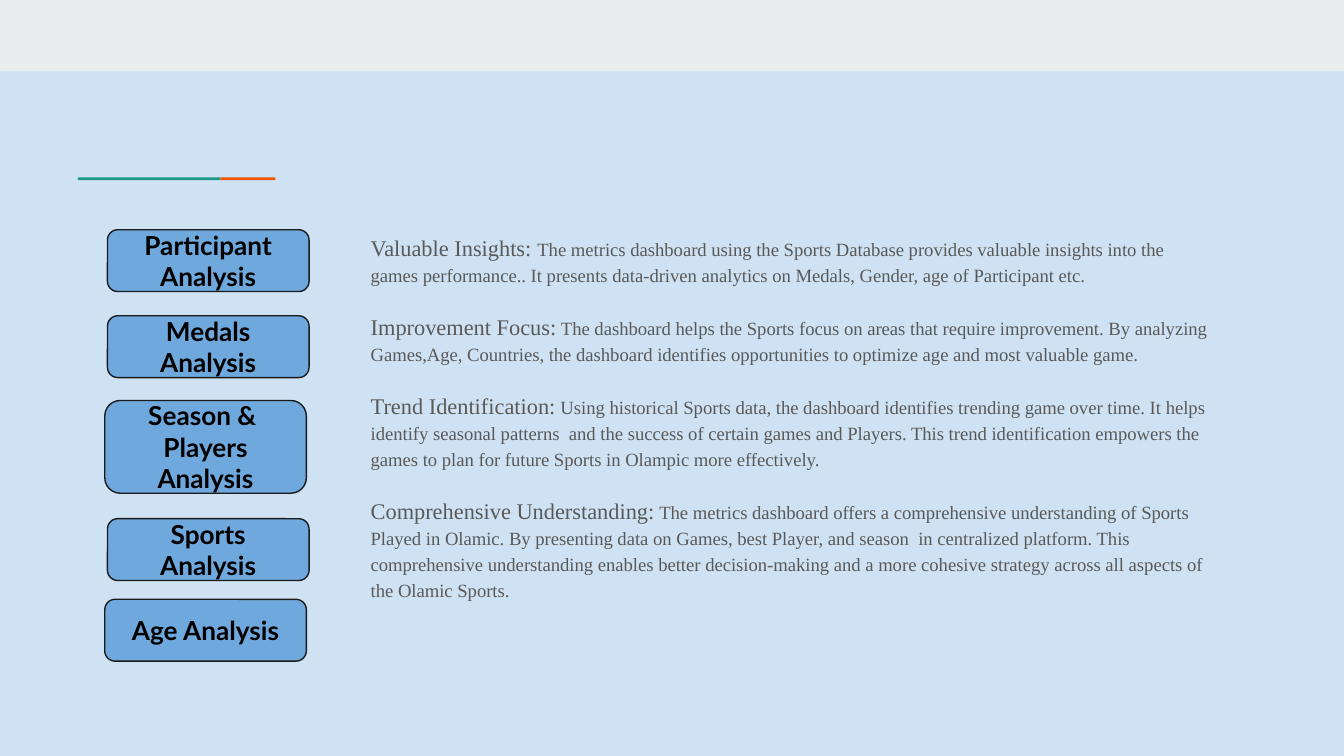
"""Build the slide of dashboard analyses and their key insights."""
from pptx import Presentation
from pptx.dml.color import RGBColor
from pptx.enum.shapes import MSO_SHAPE
from pptx.enum.text import MSO_ANCHOR, PP_ALIGN
from pptx.util import Inches, Pt

COLORS = {
    "background": "CFE2F3", "band": "E9EDEE", "teal": "1A9988", "orange": "EB5600",
    "button": "6FA8DC", "outline": "1A1A1A", "label": "000000", "body": "595959",
}
BARS = [
    ("band", 0, 0, 10, 0.53),
    ("teal", 0.58, 1.32, 1.06, 0.02),
    ("orange", 1.64, 1.32, 0.41, 0.02),
]
BUTTON_WIDTH = 1.5
BUTTONS = [
    ("Participant Analysis", 0.8, 1.71, 0.46),
    ("Medals Analysis", 0.8, 2.35, 0.46),
    ("Season &  Players Analysis", 0.78, 2.98, 0.69),
    ("Age Analysis", 0.78, 4.46, 0.46),
    ("Sports Analysis", 0.8, 3.86, 0.46),
]
INSIGHTS = [
    ("Valuable Insights: ",
     "The metrics dashboard using the Sports Database provides valuable insights into the "
     "games performance.. It presents data-driven analytics on Medals, Gender, age of "
     "Participant etc."),
    ("Improvement Focus:",
     " The dashboard helps the Sports focus on areas that require improvement. By analyzing "
     "Games,Age, Countries, the dashboard identifies opportunities to optimize age and most "
     "valuable game."),
    ("Trend Identification:",
     " Using historical Sports data, the dashboard identifies trending game over time. It "
     "helps identify seasonal patterns  and the success of certain games and Players. This "
     "trend identification empowers the games to plan for future Sports in Olampic more "
     "effectively."),
    ("Comprehensive Understanding:",
     " The metrics dashboard offers a comprehensive understanding of Sports Played in Olamic. "
     "By presenting data on Games, best Player, and season  in centralized platform. This "
     "comprehensive understanding enables better decision-making and a more cohesive strategy "
     "across all aspects of the Olamic Sports."),
]


def color(name):
    return RGBColor.from_string(COLORS[name])


def add_span(paragraph, text, font, size, tint, bold=False):
    span = paragraph.add_run()
    span.text = text
    span.font.name = font
    span.font.size = Pt(size)
    span.font.bold = bold
    span.font.color.rgb = color(tint)


def add_block(page, kind, fill, *place):
    block = page.shapes.add_shape(kind, *map(Inches, place))
    block.shadow.inherit = False
    block.fill.solid()
    block.fill.fore_color.rgb = color(fill)
    block.line.fill.background()
    return block


def prepare_frame(box):
    frame = box.text_frame
    frame.word_wrap = True
    frame.margin_left = frame.margin_right = Inches(0.1)
    frame.margin_top = frame.margin_bottom = Inches(0.1)
    return frame


def add_button(page, label, left, top, height):
    button = add_block(page, MSO_SHAPE.ROUNDED_RECTANGLE, "button",
                       left, top, BUTTON_WIDTH, height)
    button.line.color.rgb = color("outline")
    button.line.width = Pt(0.75)
    frame = prepare_frame(button)
    frame.vertical_anchor = MSO_ANCHOR.MIDDLE
    paragraph = frame.paragraphs[0]
    paragraph.alignment = PP_ALIGN.CENTER
    add_span(paragraph, label, "Lato", 14, "label", bold=True)


def add_insights(page):
    box = page.shapes.add_textbox(*map(Inches, (2.66, 1.61, 6.47, 3.63)))
    frame = prepare_frame(box)
    for index, (heading, detail) in enumerate(INSIGHTS):
        paragraph = frame.add_paragraph() if index else frame.paragraphs[0]
        paragraph.line_spacing = 1.15
        paragraph.space_before = Pt(12 if index else 0)
        add_span(paragraph, heading, "Times New Roman", 12, "body")
        add_span(paragraph, detail, "Times New Roman", 10, "body")
    paragraph.space_after = Pt(12)


def main():
    deck = Presentation()
    deck.slide_width = Inches(10)
    deck.slide_height = deck.slide_width * 9 // 16
    page = deck.slides.add_slide(deck.slide_layouts[6])
    page.background.fill.solid()
    page.background.fill.fore_color.rgb = color("background")
    for bar in BARS:
        add_block(page, MSO_SHAPE.RECTANGLE, *bar)
    add_insights(page)
    for button in BUTTONS:
        add_button(page, *button)
    deck.save("out.pptx")


if __name__ == "__main__":
    main()
